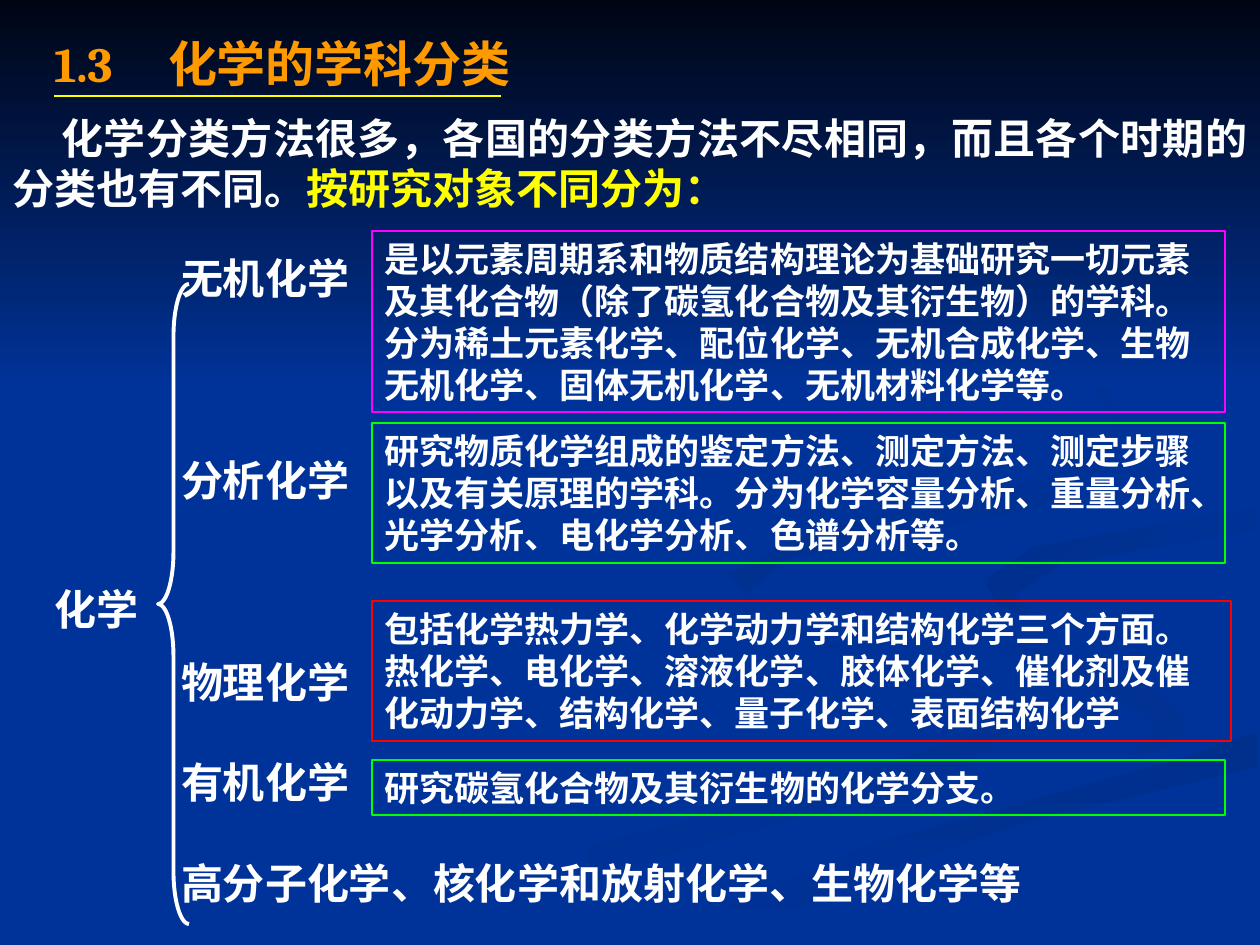
from lxml import etree
from pptx import Presentation
from pptx.dml.color import RGBColor
from pptx.enum.shapes import MSO_CONNECTOR, MSO_SHAPE
from pptx.enum.text import MSO_ANCHOR, MSO_AUTO_SIZE, PP_ALIGN
from pptx.oxml.ns import qn
from pptx.util import Pt

LEFT, JUSTIFY = PP_ALIGN.LEFT, PP_ALIGN.JUSTIFY
TOP, MIDDLE = MSO_ANCHOR.TOP, MSO_ANCHOR.MIDDLE
PIXEL = 914400 // 126
TITLE_ONLY = 5
BODY_FONT, TITLE_FONT = "Times New Roman", "Cambria"
COLORS = {
    "blue": "003399", "night": "000514", "white": "FFFFFF", "yellow": "FFFF00",
    "orange": "FF9900", "magenta": "FF00FF", "green": "00FF00", "red": "FF0000",
    "shade": "002F8C", "soft": "003193",
}

TITLE = "1.3\t化学的学科分类"
INTRO = [
    ("化学分类方法很多，各国的分类方法不尽相同，而且各个时期的分类也有不同。", "white"),
    ("按研究对象不同分为：", "yellow"),
]
ROOT = "化学"
# branch name, blank lines above it
BRANCHES = [("无机化学", 0), ("分析化学", 3), ("物理化学", 3), ("有机化学", 1),
            ("高分子化学、核化学和放射化学、生物化学等", 1)]
BLANK_LINE = 28.8
# top, width, height, border, text
DESCRIPTIONS = [
    (231, 853, 181, "magenta",
     "是以元素周期系和物质结构理论为基础研究一切元素及其化合物（除了碳氢化合物及其衍生物）的学科。"
     "分为稀土元素化学、配位化学、无机合成化学、生物无机化学、固体无机化学、无机材料化学等。"),
    (423, 853, 140, "green",
     "研究物质化学组成的鉴定方法、测定方法、测定步骤以及有关原理的学科。"
     "分为化学容量分析、重量分析、光学分析、电化学分析、色谱分析等。"),
    (601, 859, 140, "red",
     "包括化学热力学、化学动力学和结构化学三个方面。热化学、电化学、溶液化学、胶体化学、"
     "催化剂及催化动力学、结构化学、量子化学、表面结构化学"),
    (760, 853, 55, "green", "研究碳氢化合物及其衍生物的化学分支。"),
]
# start colour, end colour, counter-clockwise angle, outline
BACKDROP = [
    ("blue", "soft", 0, [
        (984, 697), (859, 654), (740, 606), (724, 578), (747, 619), (984, 701), (983, 730),
        (862, 772), (577, 849), (378, 944), (455, 944), (629, 866), (953, 774), (1008, 732)]),
    ("blue", "soft", 315, [
        (1188, 718), (1140, 680), (955, 627), (912, 585), (940, 630), (1109, 692),
        (1156, 726), (1126, 762), (1175, 743)]),
    ("shade", "blue", 270, [
        (634, 944), (719, 944), (876, 872), (1034, 820), (1257, 767), (1257, 732),
        (1179, 759), (877, 843)]),
    ("shade", "blue", 315, [
        (984, 580), (997, 604), (1041, 625), (1014, 595), (1062, 564), (1257, 529),
        (1257, 507), (1034, 547)]),
    ("shade", "blue", 315, [
        (861, 542), (1040, 507), (1120, 456), (1109, 387), (960, 294), (1066, 352),
        (1120, 422), (1061, 476), (818, 529), (728, 575), (784, 630), (747, 592), (786, 559)]),
    ("night", "blue", 270, [(0, 0), (0, 388), (1260, 388), (1260, 0)]),
]


def color(name):
    """Return a named colour."""
    return RGBColor.from_string(COLORS[name])


def box(*lengths):
    """Turn pixel lengths into EMU."""
    return [length * PIXEL for length in lengths]


def style(paragraph, size, font=BODY_FONT, tint="white", align=LEFT):
    """Format a whole paragraph in bold."""
    paragraph.alignment = align
    paragraph.font.name = font
    paragraph.font.size = Pt(size)
    paragraph.font.bold = True
    paragraph.font.color.rgb = color(tint)


def add_text(slide, *place):
    """Add a wrapping text box and return its frame."""
    frame = slide.shapes.add_textbox(*box(*place)).text_frame
    frame.word_wrap = True
    return frame


def add_backdrop(slide, start, end, angle, outline):
    """Draw one background outline with a gradient."""
    builder = slide.shapes.build_freeform(*outline[0], scale=PIXEL)
    builder.add_line_segments(outline[1:], close=True)
    shape = builder.convert_to_shape()
    shape.shadow.inherit = False
    shape.line.fill.background()
    shape.fill.gradient()
    shape.fill.gradient_angle = angle
    for stop, name in zip(shape.fill.gradient_stops, (start, end)):
        stop.color.rgb = color(name)


def add_outlined(slide, kind, place, border, width):
    """Add an unfilled preset shape."""
    shape = slide.shapes.add_shape(kind, *box(*place))
    shape.shadow.inherit = False
    shape.fill.background()
    shape.line.color.rgb = color(border)
    shape.line.width = Pt(width)
    return shape


def add_title(slide):
    """Place the title and the rule under it."""
    title = slide.shapes.title
    title.left, title.top, title.width, title.height = box(31, 31, 1071, 63)
    frame = title.text_frame
    frame.text = TITLE
    frame.auto_size = MSO_AUTO_SIZE.NONE
    frame.vertical_anchor = MIDDLE
    frame.margin_left = 23 * PIXEL
    paragraph = frame.paragraphs[0]
    style(paragraph, 28, TITLE_FONT, "orange")
    tabs = etree.Element(qn("a:tabLst"))
    etree.SubElement(tabs, qn("a:tab"), pos=str(114 * PIXEL), algn="l")
    paragraph.font._element.addprevious(tabs)
    rule = slide.shapes.add_connector(MSO_CONNECTOR.STRAIGHT, *box(54, 96, 501, 96))
    rule.line.color.rgb = color("yellow")
    rule.line.width = Pt(0.75)
    etree.SubElement(rule._element.spPr, qn("a:effectLst"))


def add_branches(slide):
    """Write the branch names, the brace and its root."""
    frame = add_text(slide, 44, 96, 1183, 818)
    frame.margin_left, frame.margin_top = box(137, 157)
    for index, (name, gap) in enumerate(BRANCHES):
        paragraph = frame.add_paragraph() if index else frame.paragraphs[0]
        paragraph.text = name
        paragraph.space_before = Pt(gap * BLANK_LINE)
        style(paragraph, 24)
    brace = add_outlined(slide, MSO_SHAPE.LEFT_BRACE, (158, 284, 31, 640), "white", 2.25)
    brace.adjustments[0], brace.adjustments[1] = 1.69, 0.5
    frame = add_text(slide, 42, 577, 131, 63)
    frame.text = ROOT
    style(frame.paragraphs[0], 24)


def add_description(slide, top, width, height, border, text):
    """Add one bordered description."""
    shape = add_outlined(slide, MSO_SHAPE.RECTANGLE, (372, top, width, height), border, 0.75)
    frame = shape.text_frame
    frame.word_wrap = True
    frame.vertical_anchor = TOP
    frame.text = text
    style(frame.paragraphs[0], 20)


def add_intro(slide):
    """Write the two-colour introduction with a first-line indent."""
    paragraph = add_text(slide, 0, 106, 1260, 164).paragraphs[0]
    style(paragraph, 24, align=JUSTIFY)
    paragraph._p.get_or_add_pPr().set("indent", str(49 * PIXEL))
    for text, tint in INTRO:
        run = paragraph.add_run()
        run.text = text
        run.font.color.rgb = color(tint)


presentation = Presentation()
presentation.slide_width, presentation.slide_height = box(1260, 945)
slide = presentation.slides.add_slide(presentation.slide_layouts[TITLE_ONLY])
slide.background.fill.solid()
slide.background.fill.fore_color.rgb = color("blue")
for part in BACKDROP:
    add_backdrop(slide, *part)
add_branches(slide)
for description in DESCRIPTIONS:
    add_description(slide, *description)
add_intro(slide)
add_title(slide)
title_element = slide.shapes.title._element
slide.shapes._spTree.remove(title_element)
slide.shapes._spTree.append(title_element)
presentation.save("out.pptx")
